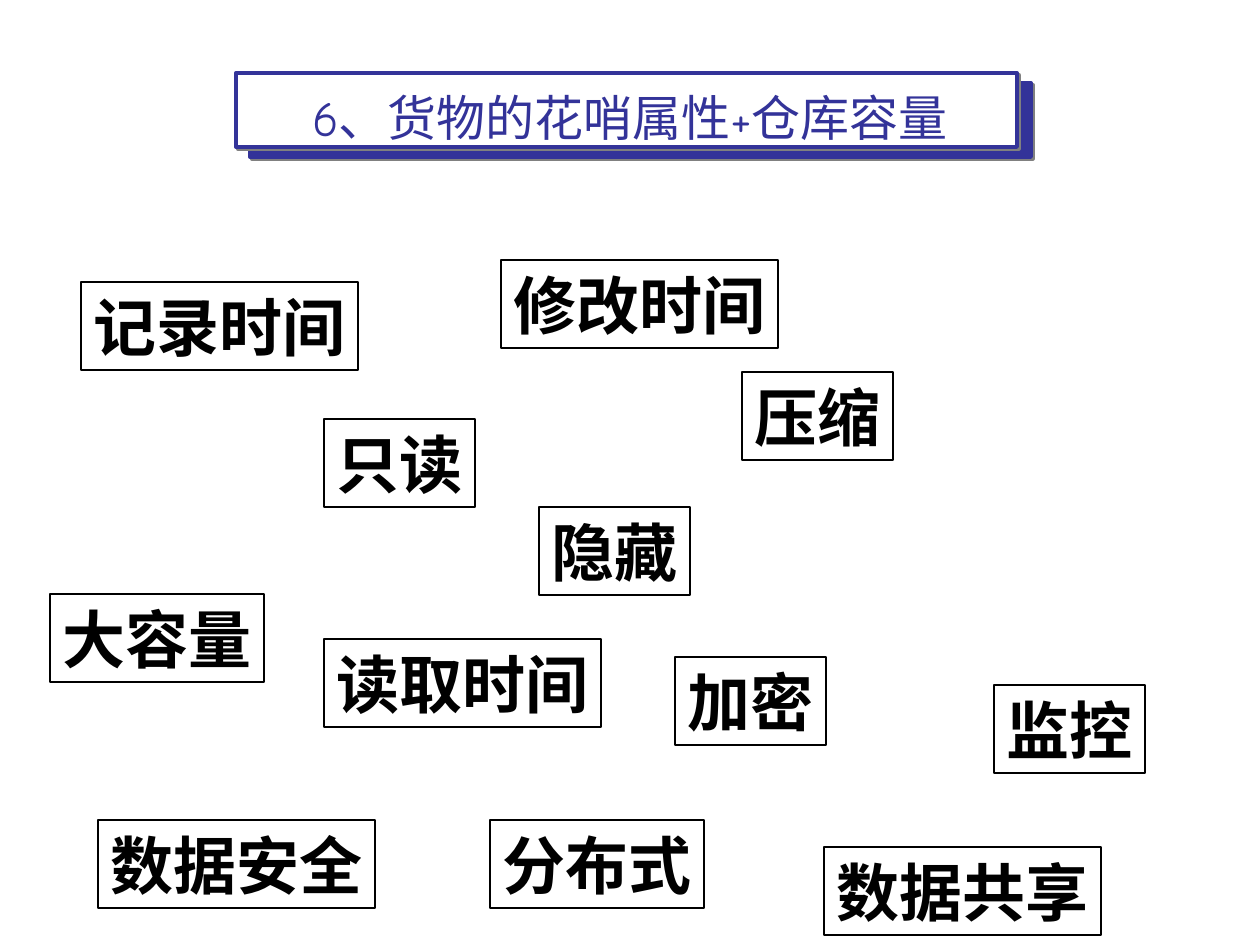
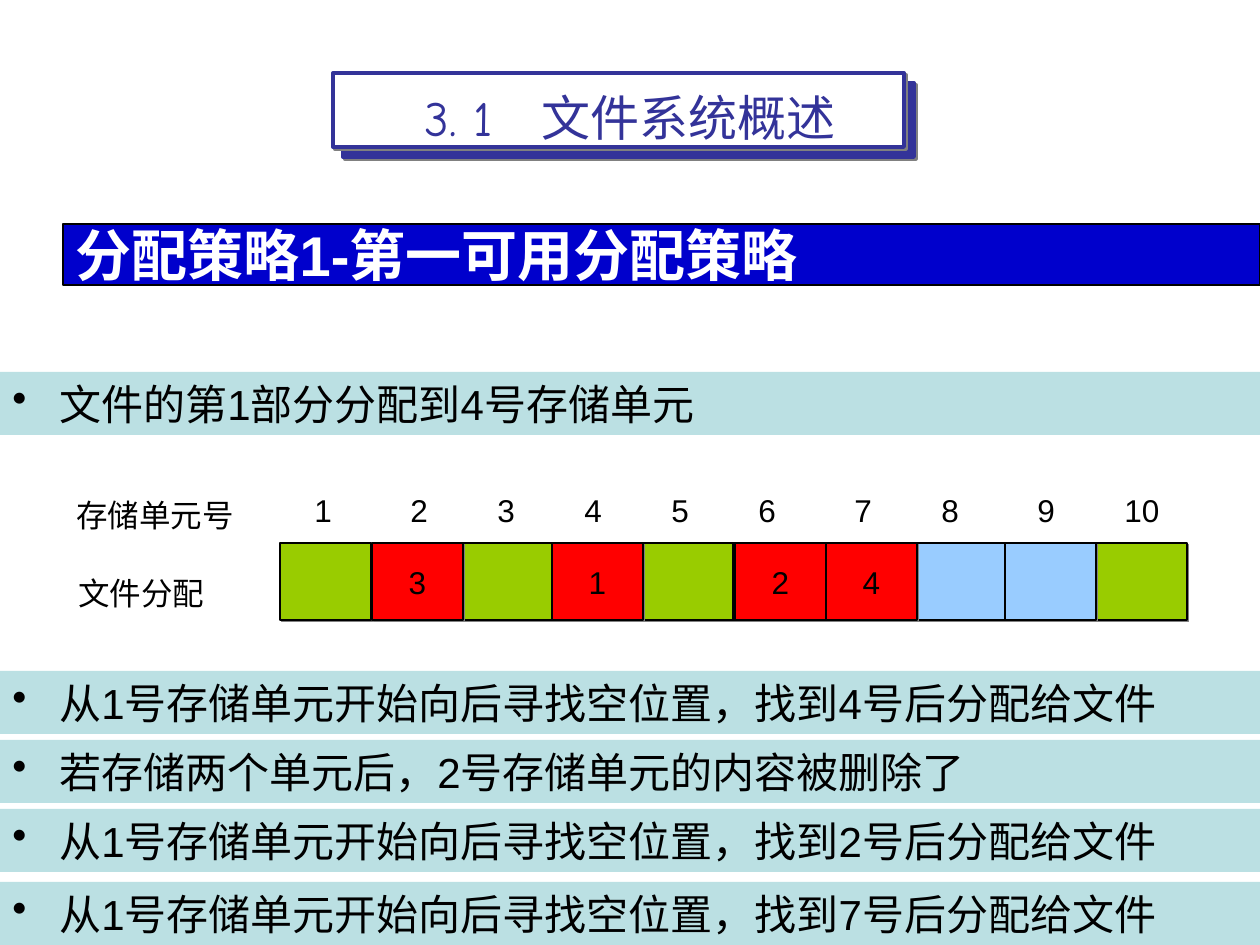
from dataclasses import dataclass
from itertools import accumulate

from lxml.etree import SubElement
from pptx import Presentation
from pptx.dml.color import RGBColor
from pptx.enum.shapes import MSO_SHAPE
from pptx.enum.text import MSO_ANCHOR, PP_ALIGN
from pptx.oxml.ns import qn
from pptx.util import Emu, Pt


@dataclass(frozen=True)
class Theme:
    font: str = "Arial"
    head_font: str = "Comic Neue"
    navy: str = "333399"
    blue: str = "0000CC"
    pale: str = "BBE0E3"
    green: str = "99CC00"
    red: str = "FF0000"
    sky: str = "99CCFF"
    black: str = "000000"
    white: str = "FFFFFF"
    gray: str = "808080"
    head: int = 28
    tag: int = 36
    band: int = 32
    body: int = 24
    label: int = 18


T = Theme()
WIDE, HIGH = 1260, 945

# Slide 1: each tag with its left and top
TAGS = [
    ("记录时间", 81, 282), ("只读", 324, 419), ("隐藏", 539, 507),
    ("压缩", 742, 372), ("加密", 675, 657), ("读取时间", 324, 639),
    ("修改时间", 501, 260), ("数据安全", 98, 820), ("分布式", 490, 820),
    ("大容量", 50, 594), ("监控", 994, 685), ("数据共享", 824, 847),
]

# Slide 2: bullet bars with their tops, then the storage units
BARS = [
    (372, "文件的第1部分分配到4号存储单元"),
    (671, "从1号存储单元开始向后寻找空位置，找到4号后分配给文件"),
    (740, "若存储两个单元后，2号存储单元的内容被删除了"),
    (809, "从1号存储单元开始向后寻找空位置，找到2号后分配给文件"),
    (882, "从1号存储单元开始向后寻找空位置，找到7号后分配给文件"),
]
USED = [1, 3, 5, 10]
FREE = [6, 7, 8, 9]
LATER = {6: "2", 2: "3", 7: "4"}
GAPS = [96, 87, 87, 87, 87, 96, 87, 96, 87]


def px(n):
    return Emu(round(n * 914400 / 126))


def rgb(code):
    return RGBColor.from_string(code)


def shade(shape):
    """Give a shape a small hard shadow to the lower right."""
    effects = shape._element.spPr.find(qn("a:effectLst"))
    cast = SubElement(effects, qn("a:outerShdw"), dist="17960", dir="2700000",
                      algn="ctr", rotWithShape="0")
    SubElement(cast, qn("a:srgbClr"), val=T.gray)


def rect(shapes, x, y, w, h, fill=None, line=None, weight=0.75, shadow=False):
    box = shapes.add_shape(MSO_SHAPE.RECTANGLE, px(x), px(y), px(w), px(h))
    box.shadow.inherit = False
    if fill:
        box.fill.solid()
        box.fill.fore_color.rgb = rgb(fill)
    else:
        box.fill.background()
    if line:
        box.line.color.rgb = rgb(line)
        box.line.width = Pt(weight)
    else:
        box.line.fill.background()
    if shadow:
        shade(box)
    return box


def write(shape, text, size, color=T.black, font=T.font, bold=False,
          align=PP_ALIGN.LEFT, anchor=MSO_ANCHOR.MIDDLE, wrap=True):
    frame = shape.text_frame
    frame.word_wrap = wrap
    frame.vertical_anchor = anchor
    para = frame.paragraphs[0]
    para.alignment = align
    run = para.add_run()
    run.text = text
    run.font.size = Pt(size)
    run.font.name = font
    run.font.bold = bold
    run.font.color.rgb = rgb(color)
    return para


def label(slide, text, x, y, w, h=50, wrap=False):
    box = slide.shapes.add_textbox(px(x), px(y), px(w), px(h))
    return write(box, text, T.label, anchor=MSO_ANCHOR.TOP, wrap=wrap)


def title(slide, text, x, w, shift):
    """Draw the framed title: back plate, front plate, words."""
    plates = slide.shapes.add_group_shape().shapes
    for step, drop, fill in ((shift, 10, T.navy), (0, 0, T.white)):
        rect(plates, x + step, 73 + drop, w, 74, fill, T.navy, 2.25, True)
    box = slide.shapes.add_textbox(px(63), px(38), px(1134), px(157))
    write(box, text, T.head, T.navy, T.head_font, align=PP_ALIGN.CENTER)


def tag(slide, text, x, y):
    box = rect(slide.shapes, x, y, 25 + 63 * len(text), 88, line=T.black)
    write(box, text, T.tag, bold=True, anchor=MSO_ANCHOR.TOP, wrap=False)


def bar(slide, y, text):
    box = rect(slide.shapes, 0, y, WIDE, 63, T.pale)
    props = write(box, text, T.body)._p.get_or_add_pPr()
    props.set("marL", str(px(47)))
    props.set("indent", str(-px(47)))
    SubElement(props, qn("a:buChar"), char="•")


def cell(slide, unit, fill, part="", shift=0):
    x = 280 + 816 * (unit - 1) // 9 + shift
    box = rect(slide.shapes, x, 543, 91, 77, fill, T.black, shadow=True)
    if part:
        write(box, part, T.label, align=PP_ALIGN.CENTER)


def ruler(slide):
    """Number the units along one line with tab stops."""
    para = label(slide, "\t".join(str(n) for n in range(1, 11)),
                 302, 485, 890, wrap=True)
    tabs = SubElement(para._p.get_or_add_pPr(), qn("a:tabLst"))
    for stop in accumulate(GAPS):
        SubElement(tabs, qn("a:tab"), pos=str(px(stop)), algn="l")


def traits(slide):
    title(slide, "6、货物的花哨属性+仓库容量", 236, 781, 14)
    for item in TAGS:
        tag(slide, *item)


def first_fit(slide):
    title(slide, "3. 1　文件系统概述", 333, 571, 10)

    # Heading band
    band = rect(slide.shapes, 63, 224, 1197, 61, T.blue, T.black)
    write(band, "分配策略1-第一可用分配策略", T.band, T.white, bold=True)

    # Storage units, with later parts laid over the free ones
    for unit in USED:
        cell(slide, unit, T.green)
    cell(slide, 4, T.red, "1")
    for unit in FREE:
        cell(slide, unit, T.sky)
    for unit, part in LATER.items():
        cell(slide, unit, T.red, part, shift=2)

    # Row labels and unit numbers
    label(slide, "存储单元号", 64, 490, 183)
    label(slide, "文件分配", 66, 568, 151)
    ruler(slide)

    # Bullet bars
    for item in BARS:
        bar(slide, *item)


def main():
    deck = Presentation()
    deck.slide_width, deck.slide_height = px(WIDE), px(HIGH)
    for build in (traits, first_fit):
        build(deck.slides.add_slide(deck.slide_layouts[6]))
    deck.save("out.pptx")


if __name__ == "__main__":
    main()
